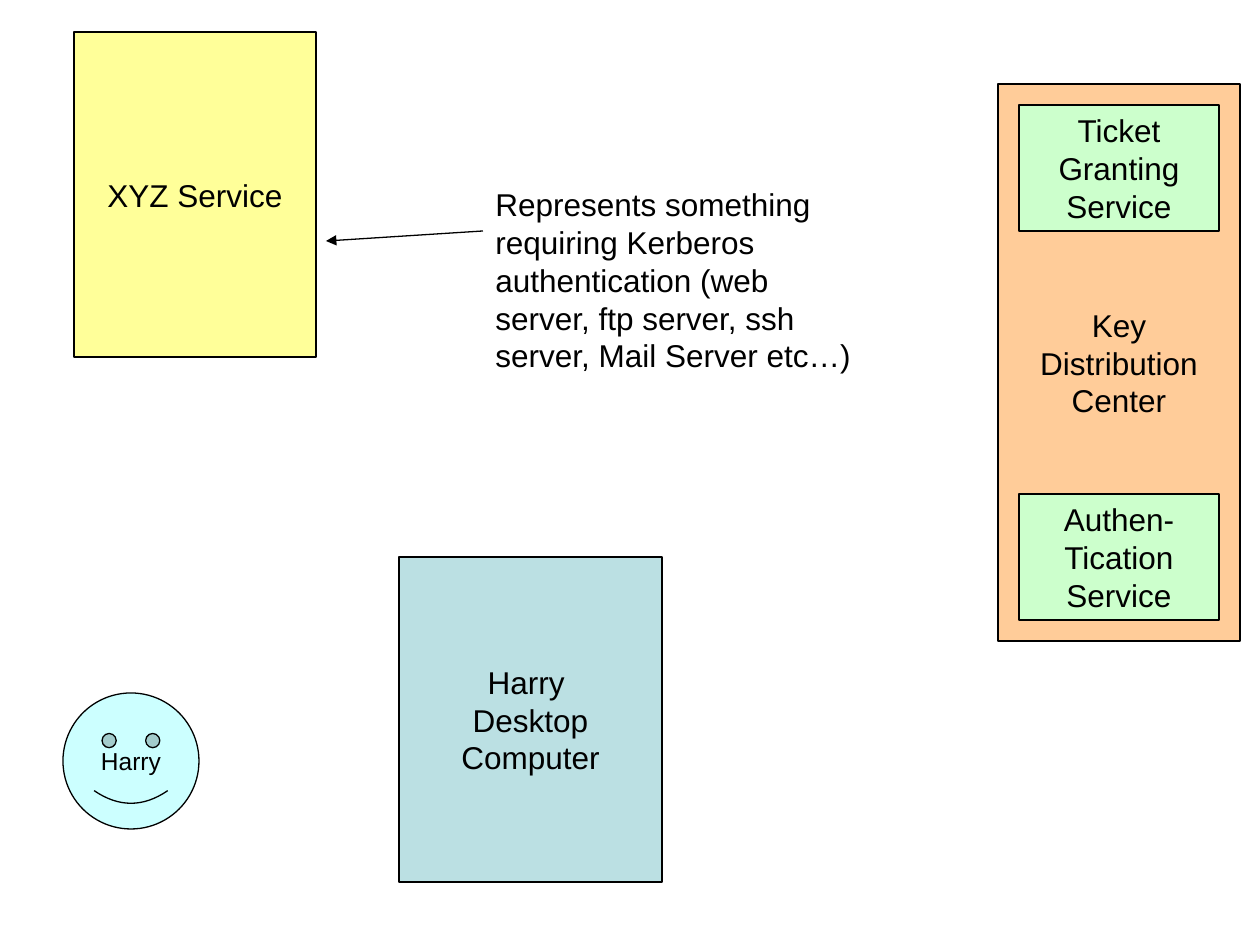
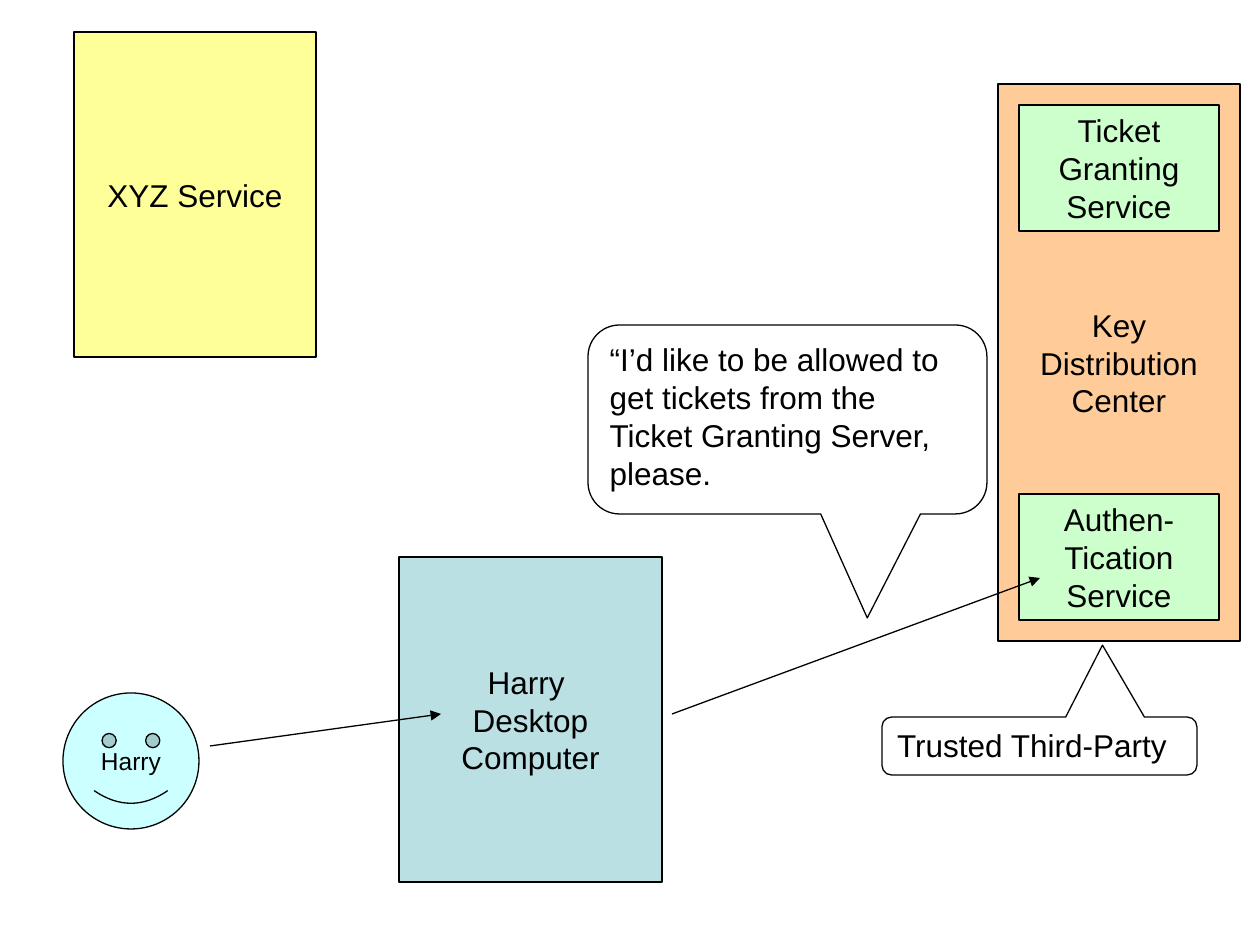
from lxml import etree
from pptx import Presentation
from pptx.dml.color import RGBColor
from pptx.enum.shapes import MSO_CONNECTOR, MSO_SHAPE
from pptx.enum.text import MSO_ANCHOR, PP_ALIGN
from pptx.oxml.ns import qn
from pptx.util import Pt

SCALE = 914400 / 126
RECT, SMILEY = MSO_SHAPE.RECTANGLE, MSO_SHAPE.SMILEY_FACE
CALLOUT = MSO_SHAPE.ROUNDED_RECTANGULAR_CALLOUT
STRAIGHT = MSO_CONNECTOR.STRAIGHT
LEFT, CENTER = PP_ALIGN.LEFT, PP_ALIGN.CENTER
TOP, MIDDLE = MSO_ANCHOR.TOP, MSO_ANCHOR.MIDDLE

BLACK = RGBColor(0x00, 0x00, 0x00)
WHITE = RGBColor(0xFF, 0xFF, 0xFF)
YELLOW = RGBColor(0xFF, 0xFF, 0x99)
ORANGE = RGBColor(0xFF, 0xCC, 0x99)
GREEN = RGBColor(0xCC, 0xFF, 0xCC)
TEAL = RGBColor(0xBB, 0xE0, 0xE3)
CYAN = RGBColor(0xCC, 0xFF, 0xFF)

FONT = "Arial"
LINE_WIDTH = Pt(0.75)
SERVICE_BOX = (74, 32, 242, 325)
DESKTOP_BOX = (399, 557, 263, 325)
USER_BOX = (63, 693, 136, 136)
CENTER_BOX = (998, 84, 242, 557)


def px(*values):
    return [round(v * SCALE) for v in values]


def write(sp, text, size=18, align=LEFT, anchor=TOP, wrap=True):
    tf = sp.text_frame
    tf.word_wrap = wrap
    tf.vertical_anchor = anchor
    for i, line in enumerate(text.split("\n")):
        p = tf.paragraphs[0] if i == 0 else tf.add_paragraph()
        p.alignment = align
        r = p.add_run()
        r.text = line
        r.font.name = FONT
        r.font.size = Pt(size)
        r.font.color.rgb = BLACK


def add_shape(shapes, kind, box, fill, adjustments=()):
    sp = shapes.add_shape(kind, *px(*box))
    sp.shadow.inherit = False
    sp.fill.solid()
    sp.fill.fore_color.rgb = fill
    sp.line.color.rgb = BLACK
    sp.line.width = LINE_WIDTH
    for i, value in enumerate(adjustments):
        sp.adjustments[i] = value
    return sp


def add_node(shapes, box, text, fill, kind=RECT, size=18, adjustments=()):
    sp = add_shape(shapes, kind, box, fill, adjustments)
    write(sp, text, size=size, align=CENTER, anchor=MIDDLE, wrap=False)


def add_callout(shapes, box, text, tip_x, tip_y):
    sp = add_shape(shapes, CALLOUT, box, WHITE, (tip_x, tip_y, 0.167))
    write(sp, text)


def add_arrow(shapes, start, end):
    cx = shapes.add_connector(STRAIGHT, *px(*start, *end))
    cx.line.color.rgb = BLACK
    cx.line.width = LINE_WIDTH
    etree.SubElement(cx.line._get_or_add_ln(), qn("a:tailEnd"), type="triangle")
    etree.SubElement(cx._element.spPr, qn("a:effectLst"))


def add_key_center(shapes, box):
    x, y, w, h = box
    pad, service_h = 21, 126
    group = shapes.add_group_shape().shapes
    add_node(group, box, "Key\nDistribution\nCenter", ORANGE)
    services = (
        (y + pad, "Ticket\nGranting\nService"),
        (y + h - pad - service_h, "Authen-\nTication\nService"),
    )
    for top, text in services:
        add_node(group, (x + pad, top, w - 2 * pad, service_h), text, GREEN)


def add_scene(prs):
    s = prs.slides.add_slide(prs.slide_layouts[6])
    add_node(s.shapes, DESKTOP_BOX, "Harry \nDesktop\nComputer", TEAL)
    add_node(s.shapes, USER_BOX, "Harry", CYAN, SMILEY, 14, (0.093,))
    add_key_center(s.shapes, CENTER_BOX)
    add_node(s.shapes, SERVICE_BOX, "XYZ Service", YELLOW)
    return s.shapes


def add_service_slide(prs):
    shapes = add_scene(prs)
    add_arrow(shapes, (483, 231), (326, 241))
    sp = shapes.add_textbox(*px(483, 179, 388, 202))
    write(sp, "Represents something requiring Kerberos authentication "
              "(web server, ftp server, ssh server, Mail Server etc…)")


def add_request_slide(prs):
    shapes = add_scene(prs)
    add_arrow(shapes, (210, 746), (441, 714))
    add_arrow(shapes, (672, 714), (1040, 578))
    add_callout(shapes, (588, 325, 399, 189),
                "“I’d like to be allowed to get tickets from the "
                "Ticket Granting Server, please.", 0.2, 1.05)
    add_callout(shapes, (882, 717, 315, 58), "Trusted Third-Party", 0.2, -1.74)


def main():
    prs = Presentation()
    prs.slide_width, prs.slide_height = px(1260, 945)
    add_service_slide(prs)
    add_request_slide(prs)
    prs.save("out.pptx")


if __name__ == "__main__":
    main()
